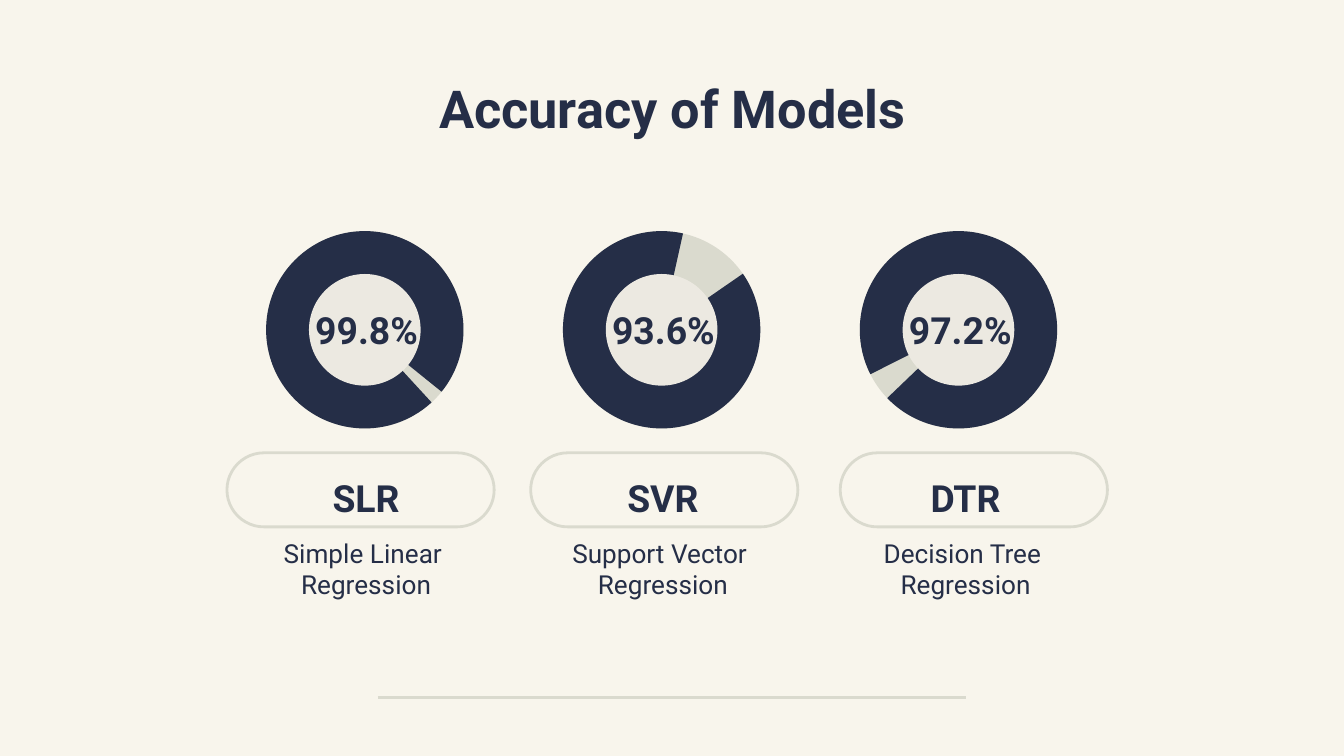
from dataclasses import dataclass

from pptx import Presentation
from pptx.dml.color import RGBColor
from pptx.enum.shapes import MSO_CONNECTOR as Connector, MSO_SHAPE as Preset
from pptx.enum.text import MSO_ANCHOR as Anchor, MSO_AUTO_SIZE as AutoSize, PP_ALIGN as Align
from pptx.oxml.ns import qn
from pptx.shapes.autoshape import Shape
from pptx.slide import Slide
from pptx.util import Cm, Pt


@dataclass(frozen=True)
class Theme:
    background: RGBColor = RGBColor(0xF8, 0xF5, 0xEC)
    ink: RGBColor = RGBColor(0x25, 0x2E, 0x47)
    muted: RGBColor = RGBColor(0xDA, 0xDA, 0xCE)
    hole: RGBColor = RGBColor(0xEC, 0xE9, 0xE1)
    font: str = "Roboto"
    title: int = 28
    label: int = 20
    caption: int = 14
    stroke: float = 1.5


@dataclass(frozen=True)
class Box:
    """Position and size in centimetres."""
    left: float
    top: float
    width: float
    height: float

    def lengths(self) -> tuple[Cm, Cm, Cm, Cm]:
        return Cm(self.left), Cm(self.top), Cm(self.width), Cm(self.height)


@dataclass(frozen=True)
class Model:
    accuracy: str
    label: str
    caption: tuple[str, str]
    arc_start: float  # degrees clockwise from three o'clock
    arc_end: float
    ring_width: float  # share of the ring's diameter
    text_left: float
    pill_left: float


THEME = Theme()
RING_LEFT, RING_TOP, RING_PITCH = 5.03, 4.37, 5.61
RING_SIZE, HOLE_SIZE = 3.73, 2.11
ARC_UNIT = 60000 / 100000  # angle adjustments per degree

MODELS = (
    Model("99.8%", "SLR", ("Simple Linear ", "Regression"), 47.4, 38.9, 0.24, 4.42, 4.29),
    Model("93.6%", "SVR", ("Support Vector ", "Regression"), 325.4, 282.5, 0.22, 10.03, 10.03),
    Model("97.2%", "DTR", ("Decision Tree ", "Regression"), 153.2, 136.2, 0.22, 15.75, 15.88),
)


def write_text(shape: Shape, lines: tuple[str, ...], size: int, bold: bool = False,
               anchor: Anchor = Anchor.MIDDLE, spacing: float | None = None) -> None:
    frame = shape.text_frame
    frame.word_wrap = True
    frame.auto_size = AutoSize.NONE
    frame.vertical_anchor = anchor
    frame.margin_left = frame.margin_right = Cm(0.25)
    frame.margin_top = frame.margin_bottom = Cm(0.25)
    frame.text = "\n".join(lines)
    for paragraph in frame.paragraphs:
        paragraph.alignment = Align.CENTER
        paragraph.line_spacing = spacing
        font = paragraph.font
        font.name, font.size, font.bold = THEME.font, Pt(size), bold
        font.color.rgb = THEME.ink


def add_filled(slide: Slide, preset: Preset, box: Box, color: RGBColor) -> Shape:
    shape = slide.shapes.add_shape(preset, *box.lengths())
    shape.shadow.inherit = False
    shape.fill.solid()
    shape.fill.fore_color.rgb = color
    shape.line.fill.background()
    return shape


def add_ring(slide: Slide, model: Model, left: float) -> None:
    ring = Box(left, RING_TOP, RING_SIZE, RING_SIZE)
    inset = (RING_SIZE - HOLE_SIZE) / 2
    add_filled(slide, Preset.OVAL, ring, THEME.muted)
    arc = add_filled(slide, Preset.BLOCK_ARC, ring, THEME.ink)
    arc.adjustments[0] = model.arc_start * ARC_UNIT
    arc.adjustments[1] = model.arc_end * ARC_UNIT
    arc.adjustments[2] = model.ring_width
    hole = Box(left + inset, RING_TOP + inset, HOLE_SIZE, HOLE_SIZE)
    add_filled(slide, Preset.OVAL, hole, THEME.hole)
    value = slide.shapes.add_textbox(*Box(left + 0.63, 5.51, 2.54, 1.45).lengths())
    write_text(value, (model.accuracy,), THEME.label, bold=True)


def add_description(slide: Slide, model: Model) -> None:
    caption = slide.shapes.add_textbox(*Box(model.text_left, 9.86, 5, 1.78).lengths())
    write_text(caption, model.caption, THEME.caption)
    label = slide.shapes.add_textbox(*Box(model.text_left, 8.61, 5, 1.27).lengths())
    write_text(label, (model.label,), THEME.label, bold=True, anchor=Anchor.TOP, spacing=1.15)
    pill = slide.shapes.add_shape(Preset.ROUNDED_RECTANGLE,
                                  *Box(model.pill_left, 8.56, 5.05, 1.4).lengths())
    pill.shadow.inherit = False
    pill.adjustments[0] = 0.5
    pill.fill.background()
    pill.line.color.rgb = THEME.muted
    pill.line.width = Pt(THEME.stroke)


def add_rule(slide: Slide, start: float, end: float, top: float) -> None:
    rule = slide.shapes.add_connector(Connector.STRAIGHT, Cm(start), Cm(top), Cm(end), Cm(top))
    rule.line.color.rgb = THEME.muted
    rule.line.width = Pt(THEME.stroke)
    properties = rule._element.spPr
    properties.append(properties.makeelement(qn("a:effectLst"), {}))


def main() -> None:
    presentation = Presentation()
    presentation.slide_width, presentation.slide_height = Cm(25.4), Cm(14.29)
    slide = presentation.slides.add_slide(presentation.slide_layouts[5])
    slide.background.fill.solid()
    slide.background.fill.fore_color.rgb = THEME.background

    # Title and bottom rule
    title = slide.shapes.title
    title.left, title.top, title.width, title.height = Box(2, 1.24, 21.41, 1.6).lengths()
    write_text(title, ("Accuracy of Models",), THEME.title, bold=True)
    add_rule(slide, 7.14, 18.26, 13.18)

    # One column per model
    for index, model in enumerate(MODELS):
        add_ring(slide, model, RING_LEFT + index * RING_PITCH)
        add_description(slide, model)

    presentation.save("out.pptx")


if __name__ == "__main__":
    main()
